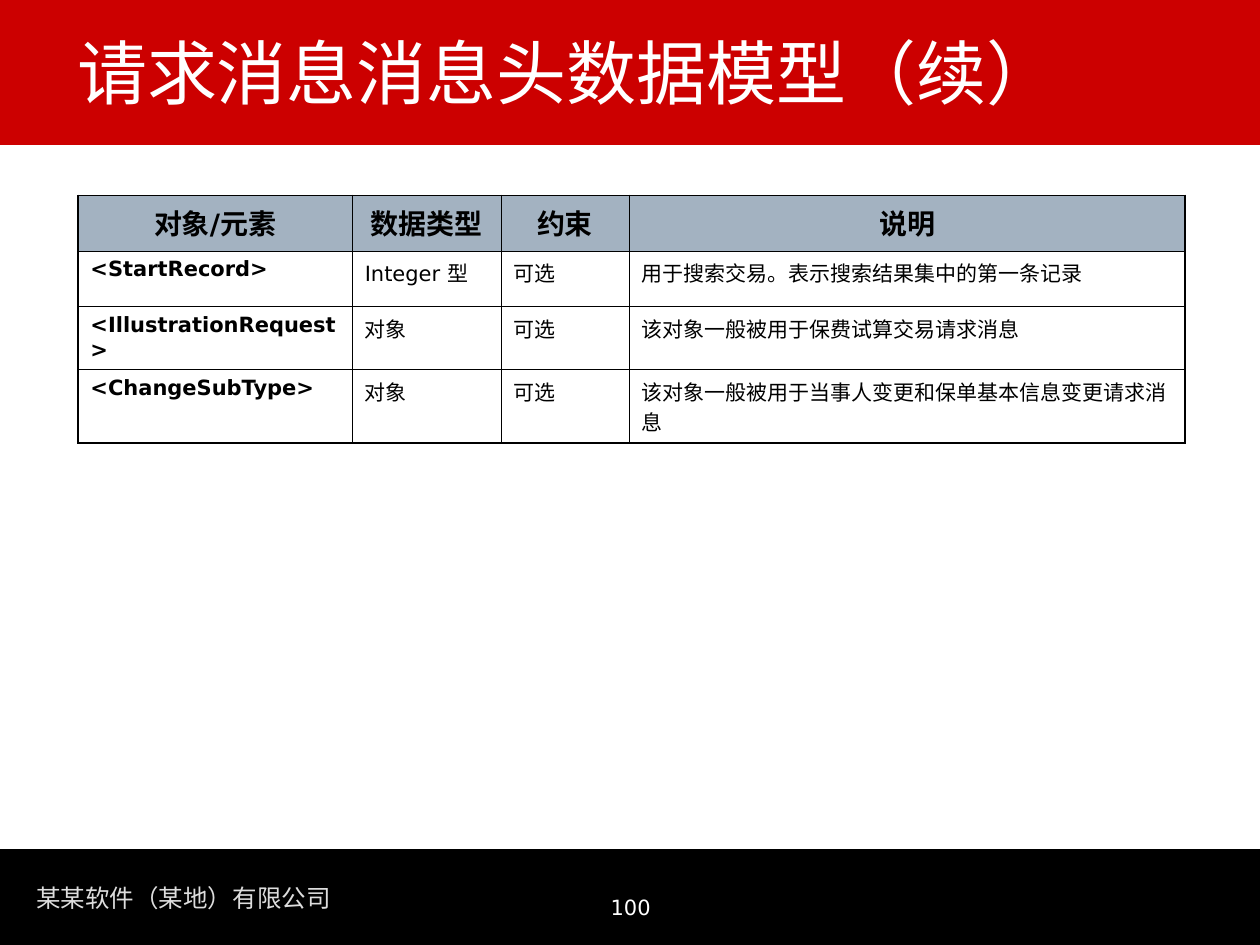
from lxml.etree import SubElement
from pptx import Presentation
from pptx.dml.color import RGBColor
from pptx.enum.shapes import MSO_SHAPE as Shape
from pptx.enum.text import MSO_ANCHOR as Anchor, MSO_AUTO_SIZE as AutoSize, PP_ALIGN as Align
from pptx.oxml.ns import qn
from pptx.util import Cm, Pt


def write(frame, text, size, color="000000", bold=False, align=Align.LEFT, anchor=None, wrap=True):
    frame.word_wrap = wrap
    if anchor is not None:
        frame.vertical_anchor = anchor
    paragraph = frame.paragraphs[0]
    paragraph.alignment = align
    run = paragraph.add_run()
    run.text = text
    run.font.name = "DejaVu Sans"
    run.font.size = Pt(size)
    run.font.bold = bold
    run.font.color.rgb = RGBColor.from_string(color)


def add_border(cell, side, width):
    line = SubElement(cell._tc.get_or_add_tcPr(), qn(f"a:ln{side}"), w=str(Pt(width)))
    fill = SubElement(line, qn("a:solidFill"))
    SubElement(fill, qn("a:srgbClr"), val="000000")


presentation = Presentation()
presentation.slide_width, presentation.slide_height = Cm(25.4), Cm(19.05)
slide = presentation.slides.add_slide(presentation.slide_layouts[5])

# Header and footer bands
for top, height, color in [(17.12, 1.93, "000000"), (0, 2.92, "CC0000")]:
    band = slide.shapes.add_shape(Shape.RECTANGLE, 0, Cm(top), Cm(25.4), Cm(height))
    band.shadow.inherit = False
    band.fill.solid()
    band.fill.fore_color.rgb = RGBColor.from_string(color)
    band.line.fill.background()

company = slide.shapes.add_textbox(Cm(0.48), Cm(17.68), Cm(6.45), Cm(0.86))
write(company.text_frame, "某某软件（某地）有限公司", 14, "DDDDDD", wrap=False)
page_number = slide.shapes.add_textbox(Cm(8.69), Cm(17.35), Cm(8.05), Cm(1.32))
write(page_number.text_frame, "100", 12, "FFFFFF", align=Align.CENTER, anchor=Anchor.BOTTOM)

# The title goes in front of the red band
title = slide.shapes.title
slide.shapes._spTree.append(title._element)
title.left, title.top, title.width, title.height = Cm(1.3), Cm(0.71), Cm(22.23), Cm(1.7)
title.text_frame.auto_size = AutoSize.NONE
write(title.text_frame, "请求消息消息头数据模型（续）", 40, "FFFFFF", anchor=Anchor.BOTTOM)

# Table of message header elements
rows = [
    ("对象/元素", "数据类型", "约束", "说明"),
    ("<StartRecord>", "Integer 型", "可选", "用于搜索交易。表示搜索结果集中的第一条记录"),
    ("<IllustrationRequest>", "对象", "可选", "该对象一般被用于保费试算交易请求消息"),
    ("<ChangeSubType>", "对象", "可选", "该对象一般被用于当事人变更和保单基本信息变更请求消息"),
]
column_widths = [5.53, 3, 2.58, 11.21]
row_heights = [1.12, 1.12, 1.27, 1.47]
last_row, last_column = len(rows) - 1, len(column_widths) - 1
table = slide.shapes.add_table(
    len(rows), len(column_widths), Cm(1.57), Cm(3.94),
    Cm(sum(column_widths)), Cm(sum(row_heights))).table
for column, width in zip(table.columns, column_widths):
    column.width = Cm(width)
for row, height in zip(table.rows, row_heights):
    row.height = Cm(height)

for r, texts in enumerate(rows):
    is_header = r == 0
    for c, text in enumerate(texts):
        cell = table.cell(r, c)
        write(cell.text_frame, text, 16 if is_header else 12, bold=is_header or c == 0,
              align=Align.CENTER if is_header else Align.LEFT)
        outer_sides = {"L": c == 0, "R": c == last_column, "T": is_header, "B": r == last_row}
        for side, is_outer in outer_sides.items():
            add_border(cell, side, 1.08 if is_outer else 0.45)
        if is_header:
            cell.fill.solid()
            cell.fill.fore_color.rgb = RGBColor.from_string("A3B2C1")
        else:
            cell.fill.background()

presentation.save("out.pptx")
